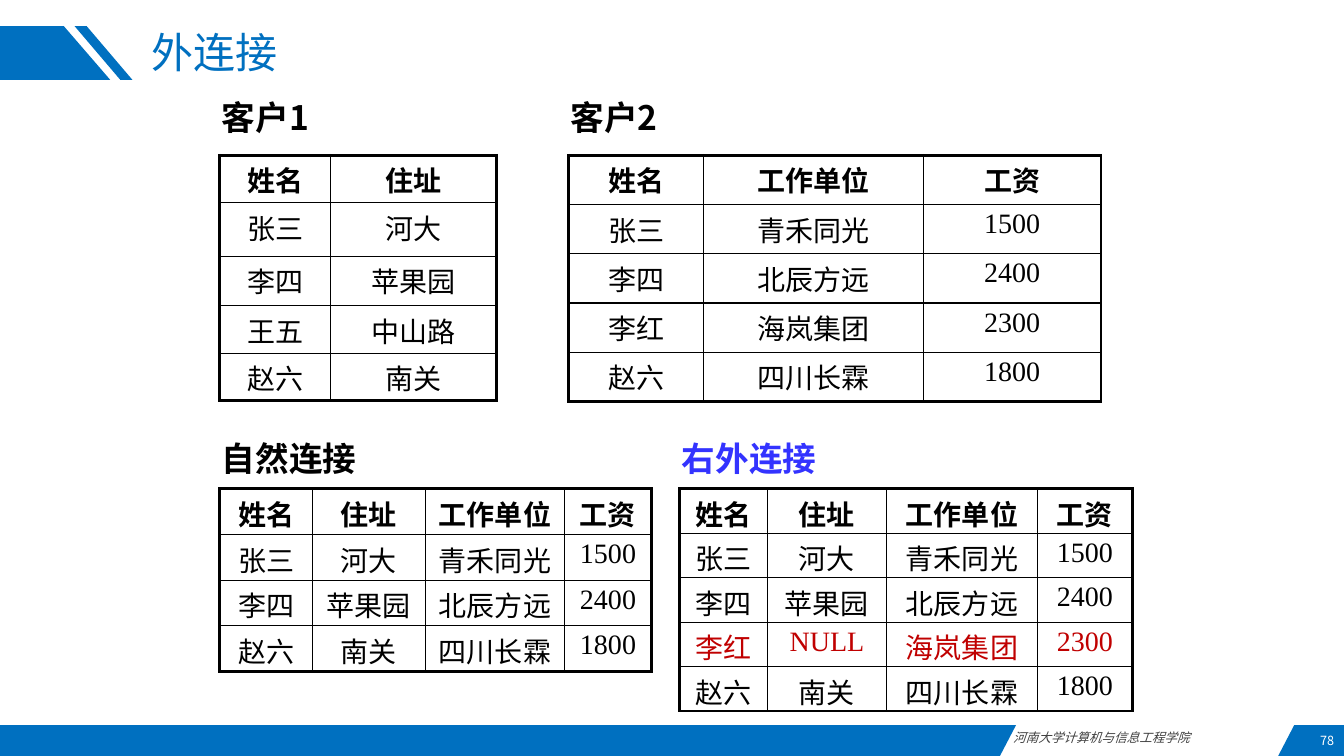
from lxml import etree
from pptx import Presentation
from pptx.dml.color import RGBColor
from pptx.enum.text import MSO_ANCHOR, PP_ALIGN
from pptx.oxml.ns import qn
from pptx.util import Inches, Pt

LEFT, CENTER, RIGHT = PP_ALIGN.LEFT, PP_ALIGN.CENTER, PP_ALIGN.RIGHT
TOP, MIDDLE = MSO_ANCHOR.TOP, MSO_ANCHOR.MIDDLE
SANS, SERIF = "Noto Sans CJK SC", "Times New Roman"
COLORS = {
    "brand": "0070C0",
    "ink": "000000",
    "footer": "404040",
    "outer": "3333FF",
    "unmatched": "C00000",
    "page": "FFFFFF",
}
SLIDE_W, SLIDE_H = Inches(13.33), Inches(7.5)
THICK, THIN = 2.25, 1

CUSTOMERS = [
    ["姓名", "住址"],
    ["张三", "河大"],
    ["李四", "苹果园"],
    ["王五", "中山路"],
    ["赵六", "南关"],
]
JOBS = [
    ["姓名", "工作单位", "工资"],
    ["张三", "青禾同光", "1500"],
    ["李四", "北辰方远", "2400"],
    ["李红", "海岚集团", "2300"],
    ["赵六", "四川长霖", "1800"],
]
ADDRESSES = dict(CUSTOMERS)
OUTER_JOIN = [[name, ADDRESSES.get(name, "NULL"), *job] for name, *job in JOBS]
NATURAL_JOIN = [row for row in OUTER_JOIN if row[0] in ADDRESSES]


def across(percent):
    return round(SLIDE_W * percent / 100)


def down(percent):
    return round(SLIDE_H * percent / 100)


def place(box):
    x, y, w, h = box
    return across(x), down(y), across(w), down(h)


def write(frame, text, size=20, color="ink", font=SANS, bold=False,
          italic=False, align=LEFT, anchor=TOP, spacing=None):
    frame.word_wrap = True
    frame.vertical_anchor = anchor
    paragraph = frame.paragraphs[0]
    paragraph.alignment = align
    paragraph.line_spacing = spacing
    run = paragraph.add_run()
    run.text = text
    run.font.size = Pt(size)
    run.font.name = font
    run.font.bold = bold
    run.font.italic = italic
    run.font.color.rgb = RGBColor.from_string(COLORS[color])
    latin = run.font._element.find(qn("a:latin"))
    east_asian = etree.Element(qn("a:ea"), typeface=font)
    latin.addnext(east_asian)


def label(slide, box, text, **style):
    write(slide.shapes.add_textbox(*place(box)).text_frame, text, **style)


def band(slide, corners):
    points = [(across(x), down(y)) for x, y in corners]
    builder = slide.shapes.build_freeform(*points[0])
    builder.add_line_segments(points[1:], close=True)
    shape = builder.convert_to_shape()
    shape.shadow.inherit = False
    shape.fill.solid()
    shape.fill.fore_color.rgb = RGBColor.from_string(COLORS["brand"])
    shape.line.fill.background()


def set_borders(cell, widths):
    properties = cell._tc.get_or_add_tcPr()
    for index, (side, width) in enumerate(zip("LRTB", widths)):
        line = etree.Element(qn(f"a:ln{side}"), w=str(Pt(width)))
        fill = etree.SubElement(line, qn("a:solidFill"))
        etree.SubElement(fill, qn("a:srgbClr"), val=COLORS["ink"])
        properties.insert(index, line)


def relation(slide, box, rows, column_weights, row_weights):
    x, y, w, h = place(box)
    last_row, last_column = len(rows) - 1, len(rows[0]) - 1
    table = slide.shapes.add_table(len(rows), len(rows[0]), x, y, w, h).table
    table.first_row = table.horz_banding = False
    for column, weight in zip(table.columns, column_weights):
        column.width = round(w * weight / sum(column_weights))
    for row, weight in zip(table.rows, row_weights):
        row.height = round(h * weight / sum(row_weights))
    for r, values in enumerate(rows):
        for c, value in enumerate(values):
            cell = table.cell(r, c)
            cell.fill.background()
            cell.margin_top, cell.margin_bottom = Inches(0.04), 0
            outside = (c == 0, c == last_column, r == 0, r == last_row)
            set_borders(cell, [THICK if edge else THIN for edge in outside])
            write(cell.text_frame, value, bold=r == 0, align=CENTER,
                  font=SERIF if value.isascii() else SANS,
                  color="unmatched" if "NULL" in values else "ink")


def panel(slide, box, heading, rows, column_weights, heading_share,
          row_weights=None, color="ink"):
    x, y, w, h = box
    indent = 0.58
    label(slide, (x, y, 16.5, 6.67), heading, size=24, bold=True, color=color)
    relation(slide, (x + indent, y + heading_share, w - indent, h - heading_share),
             rows, column_weights, row_weights or [1] * len(rows))


def header(slide, box, title):
    x, y, w, h = box
    bottom = y + h
    band(slide, [(x, y), (x + 4.75, y), (x + 8.2, bottom), (x, bottom)])
    band(slide, [(x + 5.55, y), (x + 6.45, y), (x + 9.85, bottom), (x + 8.95, bottom)])
    holder = slide.shapes.title
    holder.left, holder.top, holder.width, holder.height = place(
        (x + 10.5, y, w - 10.5, h + 0.4))
    write(holder.text_frame, title, size=30, color="brand", anchor=MIDDLE, spacing=0.9)


def footer(slide, box, school, page):
    x, y, w, h = box
    right, bottom = x + w, y + h
    band(slide, [(x, y), (x + 75.6, y), (x + 74.4, bottom), (x, bottom)])
    band(slide, [(x + 96.3, y), (right, y), (right, bottom), (x + 95.1, bottom)])
    label(slide, (x + 74.64, y, 20.5, 3.33), school, size=9, color="footer", italic=True)
    label(slide, (right - 10.4, y + 0.1, 10.4, 4), page, size=9, color="page",
          align=RIGHT, anchor=MIDDLE)


def main():
    deck = Presentation()
    deck.slide_width, deck.slide_height = SLIDE_W, SLIDE_H
    slide = deck.slides.add_slide(deck.slide_layouts[5])
    header(slide, (0, 3.45, 88.9, 7.1), "外连接")
    panel(slide, (15.77, 12.13, 21.2, 40.9), "客户1", CUSTOMERS,
          [110, 165], 8.4, row_weights=[47, 53, 49, 47, 47])
    panel(slide, (41.73, 12.13, 40.19, 41), "客户2", JOBS, [134, 218, 176], 8.4)
    panel(slide, (15.77, 57.33, 32.7, 31.5), "自然连接", NATURAL_JOIN,
          [92, 112, 138, 86], 7.33)
    panel(slide, (50, 57.33, 34.26, 36.73), "右外连接", OUTER_JOIN,
          [87, 118, 150, 94], 7.33, color="outer")
    footer(slide, (0, 95.9, 100, 4.1), "河南大学计算机与信息工程学院", "78")
    deck.save("out.pptx")


if __name__ == "__main__":
    main()
